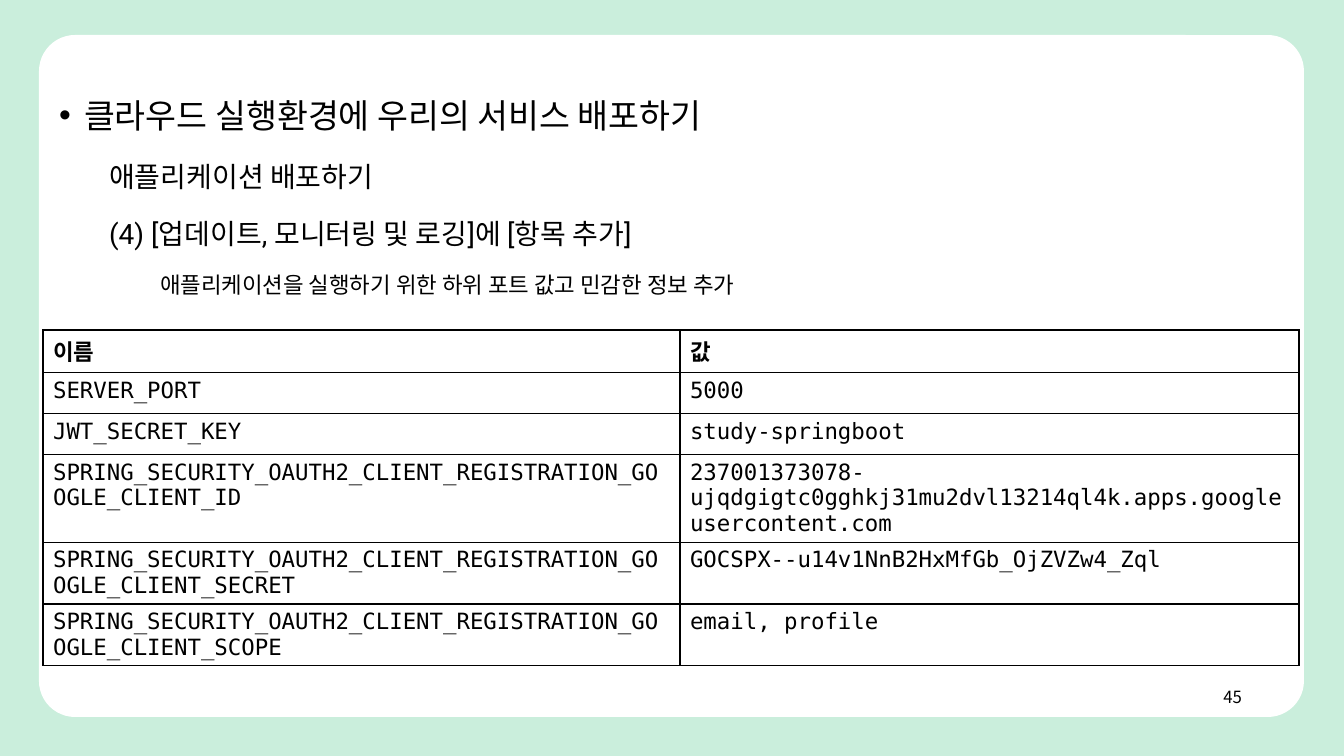
from dataclasses import dataclass

from lxml import etree
from pptx import Presentation
from pptx.dml.color import RGBColor
from pptx.enum.shapes import MSO_SHAPE
from pptx.enum.text import MSO_ANCHOR, MSO_AUTO_SIZE, PP_ALIGN
from pptx.oxml.ns import qn
from pptx.util import Emu, Pt

ROUNDED = MSO_SHAPE.ROUNDED_RECTANGLE
TOP, MIDDLE = MSO_ANCHOR.TOP, MSO_ANCHOR.MIDDLE
RIGHT = PP_ALIGN.RIGHT
NO_AUTOFIT = MSO_AUTO_SIZE.NONE

# Content: outline lines are (level, text)
OUTLINE = [
    (0, "클라우드 실행환경에 우리의 서비스 배포하기"),
    (1, "애플리케이션 배포하기"),
    (1, "(4) [업데이트, 모니터링 및 로깅]에 [항목 추가]"),
    (2, "애플리케이션을 실행하기 위한 하위 포트 값고 민감한 정보 추가"),
]
OAUTH = "SPRING_SECURITY_OAUTH2_CLIENT_REGISTRATION_GOOGLE_CLIENT_"
SETTINGS = [
    ("이름", "값"),
    ("SERVER_PORT", "5000"),
    ("JWT_SECRET_KEY", "study-springboot"),
    (OAUTH + "ID",
     "237001373078-ujqdgigtc0gghkj31mu2dvl13214ql4k.apps.googleusercontent.com"),
    (OAUTH + "SECRET", "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"),
    (OAUTH + "SCOPE", "email, profile"),
]
PAGE_NUMBER = "45"


@dataclass(frozen=True)
class Theme:
    mint: RGBColor = RGBColor(0xCA, 0xEE, 0xDC)
    white: RGBColor = RGBColor(0xFF, 0xFF, 0xFF)
    black: RGBColor = RGBColor(0, 0, 0)
    body_font: str = "Roboto"
    code_font: str = "DejaVu Sans Mono"
    korean_font: str = "Noto Sans CJK KR"
    level_sizes: tuple = (24, 20, 16)
    table_size: int = 16
    page_size: int = 12
    border: int = 1


THEME = Theme()

# Layout in px
SLIDE = (1344, 756)
CARD = (39, 35, 1265, 682)
BODY = (49, 70, 1206, 166)
TABLE_AT = (43, 330)
COLUMNS = (637, 619)
ROW_HEIGHT = 41
PAGE_BOX = (950, 677, 302, 40)
LEVEL_INDENTS = [(25, -25), (50, 0), (101, 0)]


def px(n):
    return Emu(round(n * 914400 / 100.8))


def box(bounds):
    return [px(n) for n in bounds]


def format_runs(p, font, size, bold=False):
    for r in p.runs:
        r.font.name = font
        r.font.size = Pt(size)
        r.font.bold = bold
        r.font.color.rgb = THEME.black
        ea = etree.SubElement(r._r.get_or_add_rPr(), qn("a:ea"))
        ea.set("typeface", THEME.korean_font)


def set_bullet(p, level):
    left, first = LEVEL_INDENTS[level]
    pPr = p._p.get_or_add_pPr()
    pPr.set("marL", str(px(left)))
    pPr.set("indent", str(px(first)))
    if first:
        etree.SubElement(pPr, qn("a:buChar")).set("char", "•")
    else:
        etree.SubElement(pPr, qn("a:buNone"))


def add_borders(cell):
    tcPr = cell._tc.get_or_add_tcPr()
    for side in ("lnL", "lnR", "lnT", "lnB"):
        ln = etree.SubElement(tcPr, qn("a:" + side), w=str(Pt(THEME.border)))
        fill = etree.SubElement(ln, qn("a:solidFill"))
        etree.SubElement(fill, qn("a:srgbClr"), val=str(THEME.black))


def add_card(slide):
    slide.background.fill.solid()
    slide.background.fill.fore_color.rgb = THEME.mint
    card = slide.shapes.add_shape(ROUNDED, *box(CARD))
    card.adjustments[0] = 0.053
    card.shadow.inherit = False
    card.fill.solid()
    card.fill.fore_color.rgb = THEME.white
    card.line.fill.background()
    # The card goes behind the placeholder
    slide.shapes._spTree.insert(2, card._element)


def fill_outline(sp):
    sp.left, sp.top, sp.width, sp.height = box(BODY)
    tf = sp.text_frame
    tf.word_wrap = True
    tf.auto_size = NO_AUTOFIT
    tf.vertical_anchor = TOP
    for i, (level, text) in enumerate(OUTLINE):
        p = tf.add_paragraph() if i else tf.paragraphs[0]
        p.text = text
        p.level = level
        set_bullet(p, level)
        p.line_spacing = 1.5
        p.space_before = Pt(5 if i else 0)
        p.space_after = Pt(0)
        format_runs(p, THEME.body_font, THEME.level_sizes[level])


def add_settings(slide):
    size = (sum(COLUMNS), ROW_HEIGHT * len(SETTINGS))
    table = slide.shapes.add_table(
        len(SETTINGS), len(COLUMNS), *box(TABLE_AT + size)).table
    table.first_row = table.horz_banding = False
    for column, width in zip(table.columns, COLUMNS):
        column.width = px(width)
    for i, values in enumerate(SETTINGS):
        for j, value in enumerate(values):
            cell = table.cell(i, j)
            cell.text_frame.text = value
            add_borders(cell)
            cell.fill.background()
            format_runs(cell.text_frame.paragraphs[0], THEME.code_font,
                        THEME.table_size, bold=i == 0)


def add_page_number(slide):
    tf = slide.shapes.add_textbox(*box(PAGE_BOX)).text_frame
    tf.word_wrap = True
    tf.vertical_anchor = MIDDLE
    p = tf.paragraphs[0]
    p.text = PAGE_NUMBER
    p.alignment = RIGHT
    format_runs(p, THEME.korean_font, THEME.page_size)


def main():
    prs = Presentation()
    prs.slide_width, prs.slide_height = box(SLIDE)
    slide = prs.slides.add_slide(prs.slide_layouts[1])
    title = slide.shapes.title._element
    title.getparent().remove(title)
    add_card(slide)
    fill_outline(slide.placeholders[1])
    add_settings(slide)
    add_page_number(slide)
    prs.save("out.pptx")


if __name__ == "__main__":
    main()
